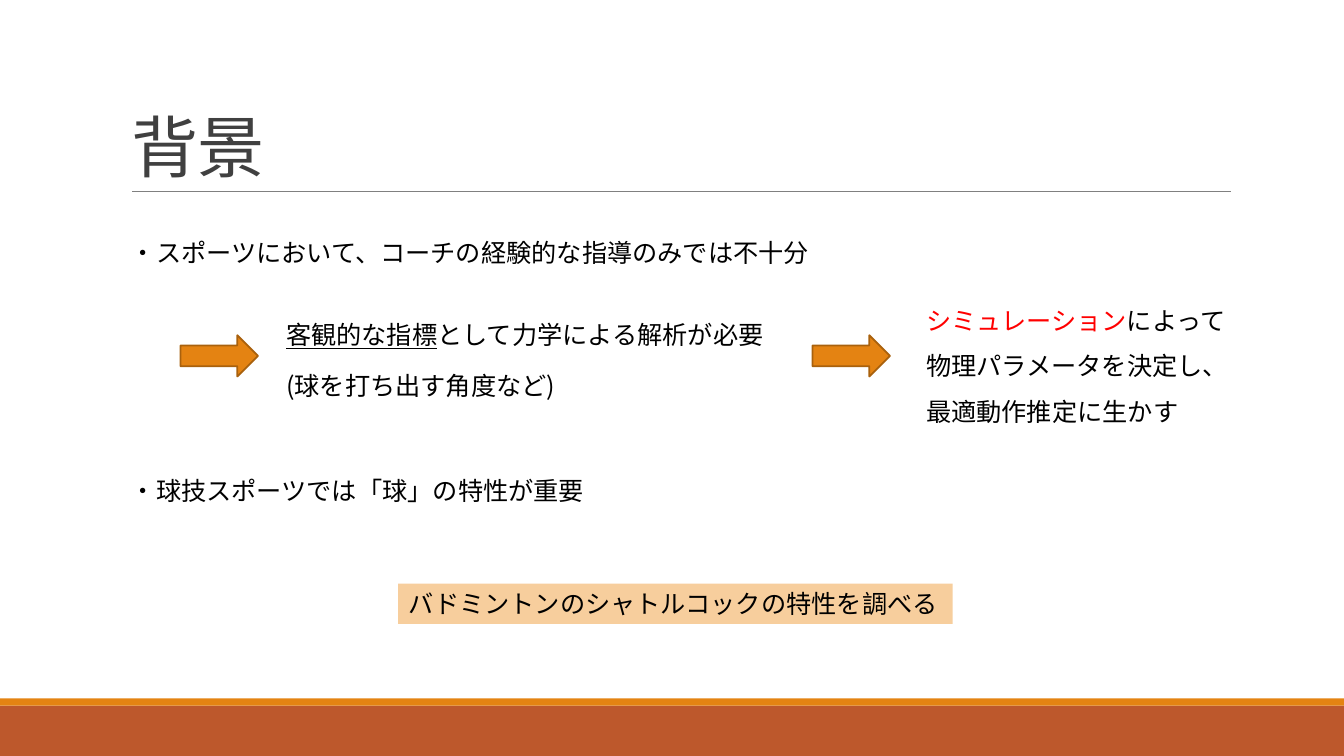
"""Build the background slide on shuttlecock research."""
from dataclasses import dataclass
from typing import Optional

from lxml.etree import SubElement
from pptx import Presentation
from pptx.dml.color import RGBColor
from pptx.enum.shapes import MSO_CONNECTOR as Connector, MSO_SHAPE as Preset
from pptx.enum.text import MSO_ANCHOR as Anchor, MSO_AUTO_SIZE as AutoSize, PP_ALIGN as Align
from pptx.oxml.ns import qn
from pptx.util import Inches, Pt

COLUMNS, ROWS = 40, 30
WIDTH, HEIGHT = Inches(13.33), Inches(7.5)
BODY_FONT, TITLE_FONT = "Noto Sans CJK JP", "Calibri"
COLORS = {
    "text": "000000", "title": "404040", "highlight": "FF0000",
    "rule": "808080", "orange": "E48312", "rust": "BD582C",
    "outline": "A9610D", "peach": "F7CE9D",
}


@dataclass(frozen=True)
class Area:
    col: float
    row: float
    cols: float
    rows: float = 1.6


@dataclass(frozen=True)
class Phrase:
    text: str
    color: str = "text"
    underline: bool = False


@dataclass(frozen=True)
class Statement:
    area: Area
    lines: tuple[tuple[Phrase, ...], ...]
    wrap: bool = False
    spacing: Optional[float] = None
    fill: Optional[str] = None


@dataclass(frozen=True)
class Block:
    area: Area
    preset: Preset
    fill: str
    outline: Optional[str] = None


BLOCKS = (
    Block(Area(0, 28, COLUMNS, 2), Preset.RECTANGLE, "rust"),
    Block(Area(0, 27.72, COLUMNS, 0.28), Preset.RECTANGLE, "orange"),
    Block(Area(5.37, 13.3, 2.31, 1.64), Preset.RIGHT_ARROW, "orange", "outline"),
    Block(Area(24.18, 13.3, 2.31, 1.64), Preset.RIGHT_ARROW, "orange", "outline"),
)
STATEMENTS = (
    Statement(Area(3.6, 9.24, 21.06),
              ((Phrase("・スポーツにおいて、コーチの経験的な指導のみでは不十分"),),)),
    Statement(Area(8.22, 12.48, 15.18),
              ((Phrase("客観的な指標", underline=True),
                Phrase("として力学による解析が必要")),), wrap=True),
    Statement(Area(8.22, 14.48, 8.8),
              ((Phrase("(球を打ち出す角度など)"),),), wrap=True),
    Statement(Area(27.27, 11.32, 9.69, 5.56),
              ((Phrase("シミュレーション", "highlight"), Phrase("によって")),
               (Phrase("物理パラメータを決定し、"),),
               (Phrase("最適動作推定に生かす"),)), spacing=1.5),
    Statement(Area(3.6, 18.68, 14.25),
              ((Phrase("・球技スポーツでは「球」の特性が重要"),),)),
    Statement(Area(11.85, 23.16, 16.5),
              ((Phrase("バドミントンのシャトルコックの特性を調べる"),),), fill="peach"),
)


def rgb(name: str) -> RGBColor:
    return RGBColor.from_string(COLORS[name])


def across(cols: float) -> int:
    return round(WIDTH * cols / COLUMNS)


def down(rows: float) -> int:
    return round(HEIGHT * rows / ROWS)


def bounds(area: Area) -> tuple[int, int, int, int]:
    return across(area.col), down(area.row), across(area.cols), down(area.rows)


def style_run(run, size: float, typeface: str, color: str) -> None:
    run.font.size = Pt(size)
    run.font.name = typeface
    run.font.color.rgb = rgb(color)
    east_asian = SubElement(run.font._element, qn("a:ea"))
    east_asian.set("typeface", BODY_FONT)


def draw_block(slide, block: Block) -> None:
    shape = slide.shapes.add_shape(block.preset, *bounds(block.area))
    shape.shadow.inherit = False
    shape.fill.solid()
    shape.fill.fore_color.rgb = rgb(block.fill)
    if block.outline:
        shape.line.color.rgb = rgb(block.outline)
        shape.line.width = Pt(1.25)
    else:
        shape.line.fill.background()


def draw_title(slide, text: str) -> None:
    title = slide.shapes.title
    title.left, title.top, title.width, title.height = bounds(Area(3.6, 1.24, 33, 6.36))
    frame = title.text_frame
    frame.text = text
    frame.auto_size = AutoSize.NONE
    frame.vertical_anchor = Anchor.BOTTOM
    heading = frame.paragraphs[0]
    heading.alignment = Align.LEFT
    heading.line_spacing = 0.85
    style_run(heading.runs[0], 48, TITLE_FONT, "title")
    heading.runs[0].font._element.set("spc", "-50")


def draw_rule(slide) -> None:
    rule = slide.shapes.add_connector(
        Connector.STRAIGHT, across(3.93), down(7.6), across(36.63), down(7.6))
    rule.line.color.rgb = rgb("rule")
    rule.line.width = Pt(0.5)
    SubElement(rule._element.spPr, qn("a:effectLst"))


def draw_statement(slide, statement: Statement) -> None:
    box = slide.shapes.add_textbox(*bounds(statement.area))
    if statement.fill:
        box.fill.solid()
        box.fill.fore_color.rgb = rgb(statement.fill)
    frame = box.text_frame
    frame.word_wrap = statement.wrap
    frame.auto_size = AutoSize.SHAPE_TO_FIT_TEXT
    frame.text = "\n".join(line[0].text for line in statement.lines)
    for paragraph, line in zip(frame.paragraphs, statement.lines):
        paragraph.alignment = Align.LEFT
        paragraph.line_spacing = statement.spacing
        for phrase in line[1:]:
            paragraph.add_run().text = phrase.text
        for run, phrase in zip(paragraph.runs, line):
            style_run(run, 18, BODY_FONT, phrase.color)
            run.font.underline = phrase.underline


def main() -> None:
    deck = Presentation()
    deck.slide_width, deck.slide_height = WIDTH, HEIGHT
    slide = deck.slides.add_slide(deck.slide_layouts[5])
    draw_title(slide, "背景")
    draw_rule(slide)
    for block in BLOCKS:
        draw_block(slide, block)
    for statement in STATEMENTS:
        draw_statement(slide, statement)
    deck.save("out.pptx")


if __name__ == "__main__":
    main()
